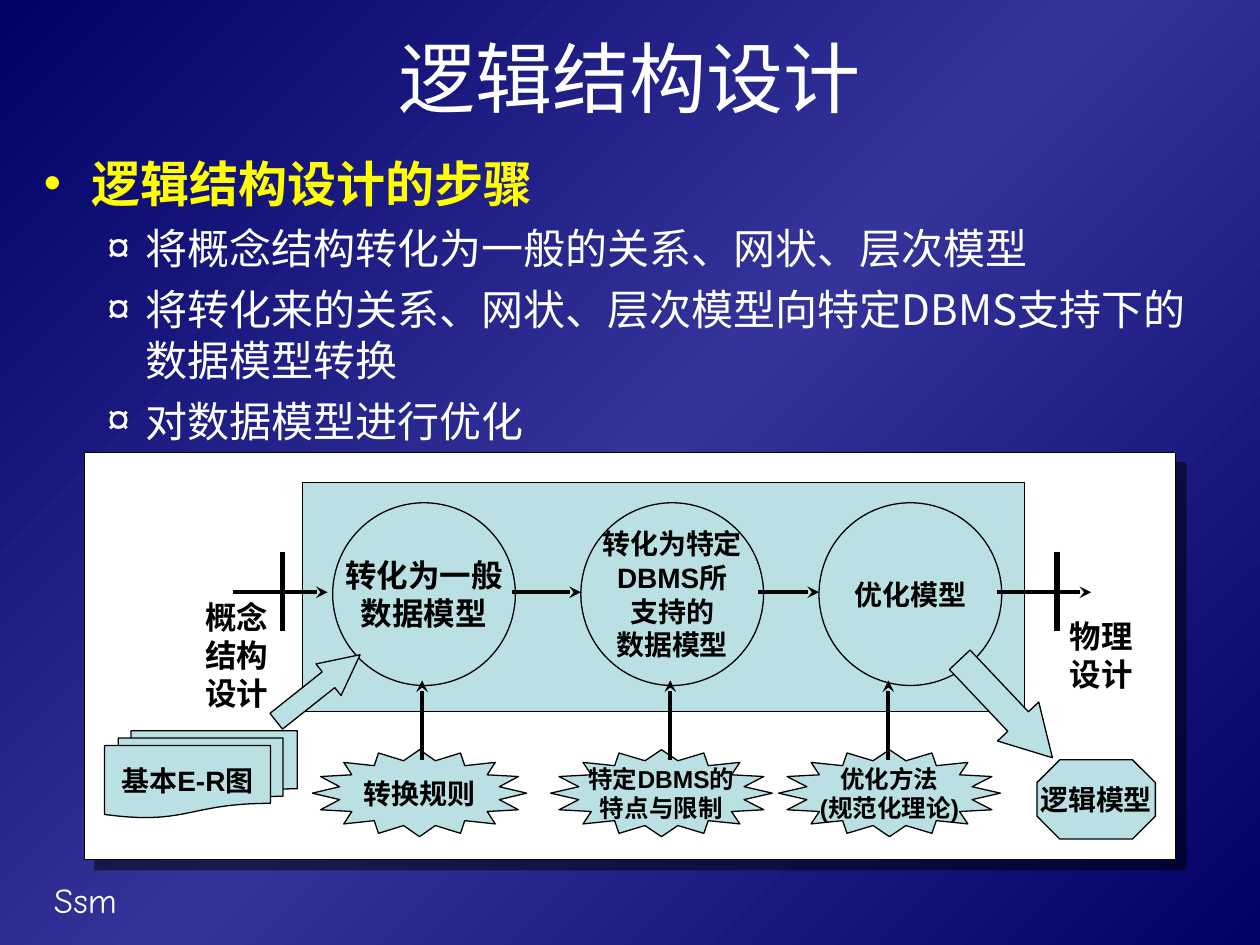
from copy import deepcopy
from lxml.etree import SubElement
from pptx import Presentation
from pptx.dml.color import RGBColor
from pptx.enum.shapes import MSO_CONNECTOR as LINK, MSO_SHAPE as FORM
from pptx.enum.text import MSO_ANCHOR as ANCHOR, PP_ALIGN as ALIGN
from pptx.oxml.ns import qn
from pptx.util import Inches, Pt


def color(value):
    return RGBColor.from_string(value)


def write(para, text, size, font, shade, bold=False):
    span = para.add_run()
    span.text = text
    span.font.size = Pt(size)
    span.font.name = font
    span.font.bold = bold
    span.font.color.rgb = color(shade)
    SubElement(span.font._element, qn("a:ea"), typeface=CJK)


CJK = "Noto Sans CJK SC"
WHITE, BLACK, YELLOW, PALE = "FFFFFF", "000000", "FFFF00", "BBE0E3"

deck = Presentation()
deck.slide_width, deck.slide_height = Inches(10), Inches(7.5)
page = deck.slides.add_slide(deck.slide_layouts[6])

backdrop = page.background.fill
backdrop.gradient()
backdrop.gradient_angle = 315
stop_list = page._element.find(".//" + qn("a:gsLst"))
stop_list.insert(1, deepcopy(stop_list[0]))
for stop, place, shade in zip(backdrop.gradient_stops, (0, 0.5, 1), ("000066", "333399", "000066")):
    stop.position = place
    stop.color.rgb = color(shade)

labels = [
    ("Ssm", 0.33, 6.92, 2.08, 0.44, 20, "Comic Neue", WHITE, False),
    ("逻辑结构设计", 0.5, 0.17, 9, 0.87, 44, CJK, WHITE, False),
]
for text, left, top, width, height, size, font, shade, bold in labels:
    box = page.shapes.add_textbox(Inches(left), Inches(top), Inches(width), Inches(height))
    box.text_frame.word_wrap = True
    para = box.text_frame.paragraphs[0]
    write(para, text, size, font, shade, bold)
box.text_frame.vertical_anchor = ANCHOR.MIDDLE
para.alignment = ALIGN.CENTER

body = page.shapes.add_textbox(Inches(0.25), Inches(1.17), Inches(9.58), Inches(2.43))
body.text_frame.word_wrap = True
steps = [
    "逻辑结构设计的步骤",
    "将概念结构转化为一般的关系、网状、层次模型",
    "将转化来的关系、网状、层次模型向特定DBMS支持下的数据模型转换",
    "对数据模型进行优化",
]
for index, text in enumerate(steps):
    if index == 0:
        para = body.text_frame.paragraphs[0]
        margin, indent, mark, size, shade = 0.38, -0.38, "•", 28, YELLOW
    else:
        para = body.text_frame.add_paragraph()
        para.level = 1
        para.space_before = Pt(6)
        margin, indent, mark, size, shade = 0.81, -0.31, "¤", 24, WHITE
    props = para._p.get_or_add_pPr()
    props.set("marL", str(Inches(margin)))
    props.set("indent", str(Inches(indent)))
    SubElement(SubElement(props, qn("a:buClr")), qn("a:srgbClr"), val=shade)
    SubElement(props, qn("a:buFont"), typeface="Arial")
    SubElement(props, qn("a:buChar"), char=mark)
    write(para, text, size, CJK, shade, index == 0)

nodes = [
    (FORM.RECTANGLE, 0.67, 3.59, 8.66, 3.23, WHITE, 0, [], [], 0),
    (FORM.RECTANGLE, 2.4, 3.83, 5.73, 1.82, PALE, 0, [], [], 0),
    (FORM.OVAL, 2.64, 3.99, 1.45, 1.45, PALE, 18, ["转化为一般", "数据模型"], [], 0),
    (FORM.OVAL, 4.61, 3.99, 1.45, 1.45, PALE, 16, ["转化为特定", "DBMS所", "支持的", "数据模型"], [], 0),
    (FORM.OVAL, 6.5, 3.99, 1.45, 1.45, PALE, 16, ["优化模型"], [], 0),
    (FORM.STAR_16_POINT, 2.48, 5.95, 1.7, 0.69, PALE, 16, ["转换规则"], [0.38], 0),
    (FORM.STAR_16_POINT, 4.37, 5.95, 1.76, 0.69, PALE, 14, ["特定DBMS的", "特点与限制"], [0.38], 0),
    (FORM.STAR_16_POINT, 6.18, 5.95, 1.76, 0.69, PALE, 14, ["优化方法", "(规范化理论)"], [0.38], 0),
    (FORM.FLOWCHART_MULTIDOCUMENT, 0.83, 5.8, 1.53, 0.69, PALE, 16, ["基本E-R图"], [], 0),
    (FORM.LEFT_ARROW, 2.1, 5.3, 0.85, 0.32, PALE, 0, [], [0.5, 1], 141.6),
    (FORM.LEFT_ARROW, 7.45, 5.4, 1.07, 0.45, PALE, 0, [], [0.5, 0.88], 226.6),
    (FORM.OCTAGON, 8.23, 6.03, 0.94, 0.63, PALE, 16, ["逻辑模型"], [0.29], 0),
]
for form, left, top, width, height, shade, size, lines, adjustments, turn in nodes:
    node = page.shapes.add_shape(form, Inches(left), Inches(top), Inches(width), Inches(height))
    node.shadow.inherit = False
    node.fill.solid()
    node.fill.fore_color.rgb = color(shade)
    node.line.color.rgb = color(BLACK)
    node.line.width = Pt(0.75)
    node.rotation = turn
    for index, value in enumerate(adjustments):
        node.adjustments[index] = value
    if shade == WHITE:
        effects = node._element.spPr.find(qn("a:effectLst"))
        shadow = SubElement(effects, qn("a:outerShdw"), dist=str(Pt(8.5)), dir="2700000", algn="ctr", rotWithShape="0")
        tint = SubElement(shadow, qn("a:srgbClr"), val=BLACK)
        SubElement(tint, qn("a:alpha"), val="50000")
    frame = node.text_frame
    frame.word_wrap = False
    frame.vertical_anchor = ANCHOR.MIDDLE
    for index, text in enumerate(lines):
        para = frame.add_paragraph() if index else frame.paragraphs[0]
        para.alignment = ALIGN.CENTER
        write(para, text, size, "Arial", BLACK, True)

flows = [(start, 4.7, end, 4.7, 2.25) for start, end in ((1.85, 2.6), (4.06, 4.61), (6.02, 6.5), (7.91, 8.66))]
inputs = [(x, 6.03, x, 5.4, 2.25) for x in (3.35, 5.32, 7.05)]
bars = [(x, 4.38, x, 5.01, 3) for x in (2.24, 8.39)]
for x1, y1, x2, y2, weight in flows + inputs + bars:
    link = page.shapes.add_connector(LINK.STRAIGHT, Inches(x1), Inches(y1), Inches(x2), Inches(y2))
    link.line.color.rgb = color(BLACK)
    link.line.width = Pt(weight)
    if weight < 3:
        SubElement(link.line._get_or_add_ln(), qn("a:tailEnd"), type="stealth", w="med", len="med")
    SubElement(link._element.spPr, qn("a:effectLst"))

for text, left, top, width, height in (("概念结构设计", 1.53, 4.7, 0.88, 1), ("物理设计", 8.39, 4.85, 0.76, 0.7)):
    box = page.shapes.add_textbox(Inches(left), Inches(top), Inches(width), Inches(height))
    box.text_frame.word_wrap = True
    write(box.text_frame.paragraphs[0], text, 18, "Arial", BLACK, True)

deck.save("out.pptx")
